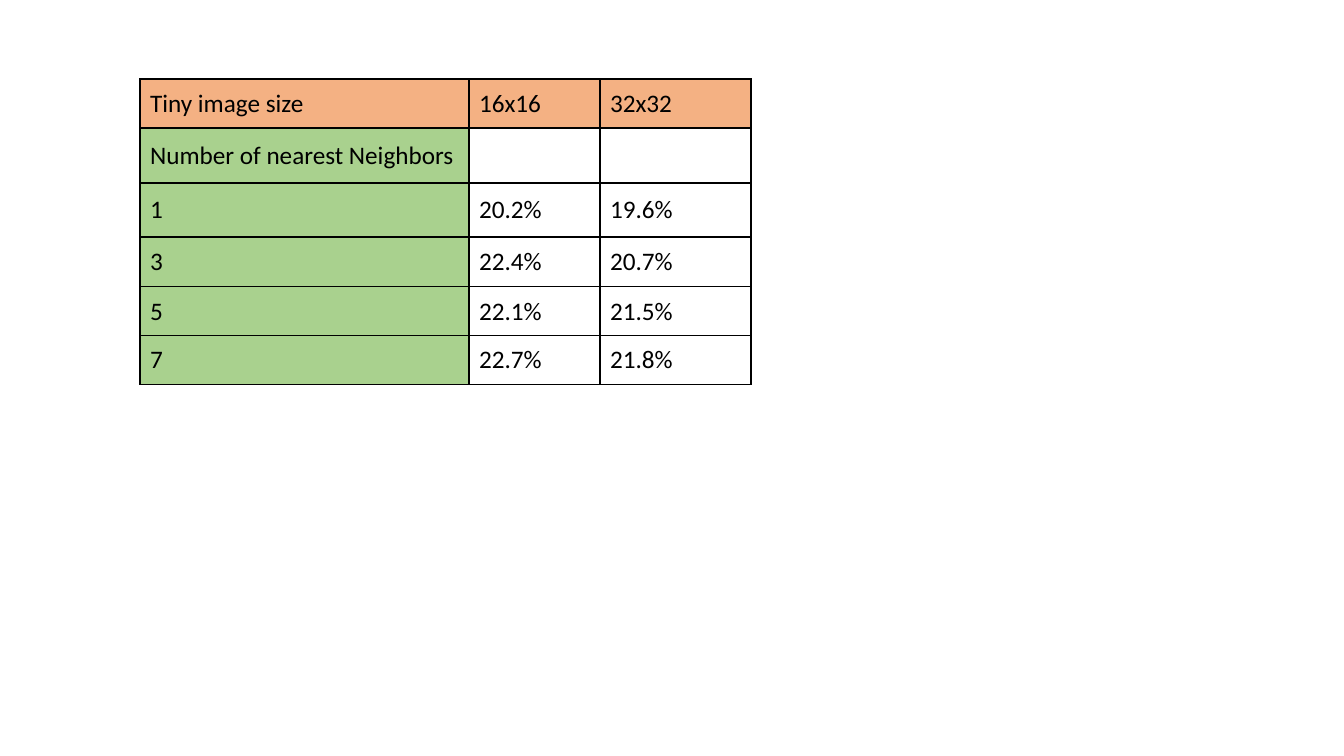
"""Build a slide with a table of nearest-neighbor accuracy by tiny image size."""
from lxml import etree
from pptx import Presentation
from pptx import util as u
from pptx.dml.color import RGBColor
from pptx.enum import text
from pptx.oxml import ns

COLORS = {"header": "F4B183", "neighbors": "A9D18E", "ink": "000000"}
ROWS = [
    ("Tiny image size", "16x16", "32x32"),
    ("Number of nearest Neighbors", "", ""),
    ("1", "20.2%", "19.6%"),
    ("3", "22.4%", "20.7%"),
    ("5", "22.1%", "21.5%"),
    ("7", "22.7%", "21.8%"),
]
COL_WIDTHS = [329, 131, 151]
ROW_HEIGHTS = [49, 55, 54, 50, 49, 49]


def px(n):
    return u.Emu(round(n * 914400 / 100.8))


def add_borders(cell):
    tcPr = cell._tc.get_or_add_tcPr()
    for side in ("lnL", "lnR", "lnT", "lnB"):
        ln = etree.SubElement(tcPr, ns.qn(f"a:{side}"), w=str(u.Pt(1)))
        fill = etree.SubElement(ln, ns.qn("a:solidFill"))
        etree.SubElement(fill, ns.qn("a:srgbClr"), val=COLORS["ink"])


prs = Presentation()
prs.slide_width, prs.slide_height = px(1344), px(756)
s = prs.slides.add_slide(prs.slide_layouts[6])

table = s.shapes.add_table(
    len(ROWS), len(COL_WIDTHS), px(140), px(79),
    px(sum(COL_WIDTHS)), px(sum(ROW_HEIGHTS)),
).table
table.first_row = table.horz_banding = False
for column, width in zip(table.columns, COL_WIDTHS):
    column.width = px(width)
for row, height in zip(table.rows, ROW_HEIGHTS):
    row.height = px(height)

for i, values in enumerate(ROWS):
    for j, value in enumerate(values):
        cell = table.cell(i, j)
        cell.vertical_anchor = text.MSO_ANCHOR.MIDDLE
        add_borders(cell)
        if i == 0 or j == 0:
            cell.fill.solid()
            name = "header" if i == 0 else "neighbors"
            cell.fill.fore_color.rgb = RGBColor.from_string(COLORS[name])
        else:
            cell.fill.background()
        cell.text = value
        p = cell.text_frame.paragraphs[0]
        p.font.name = "Calibri"
        p.font.size = u.Pt(18)
        p.font.color.rgb = RGBColor.from_string(COLORS["ink"])

prs.save("out.pptx")
